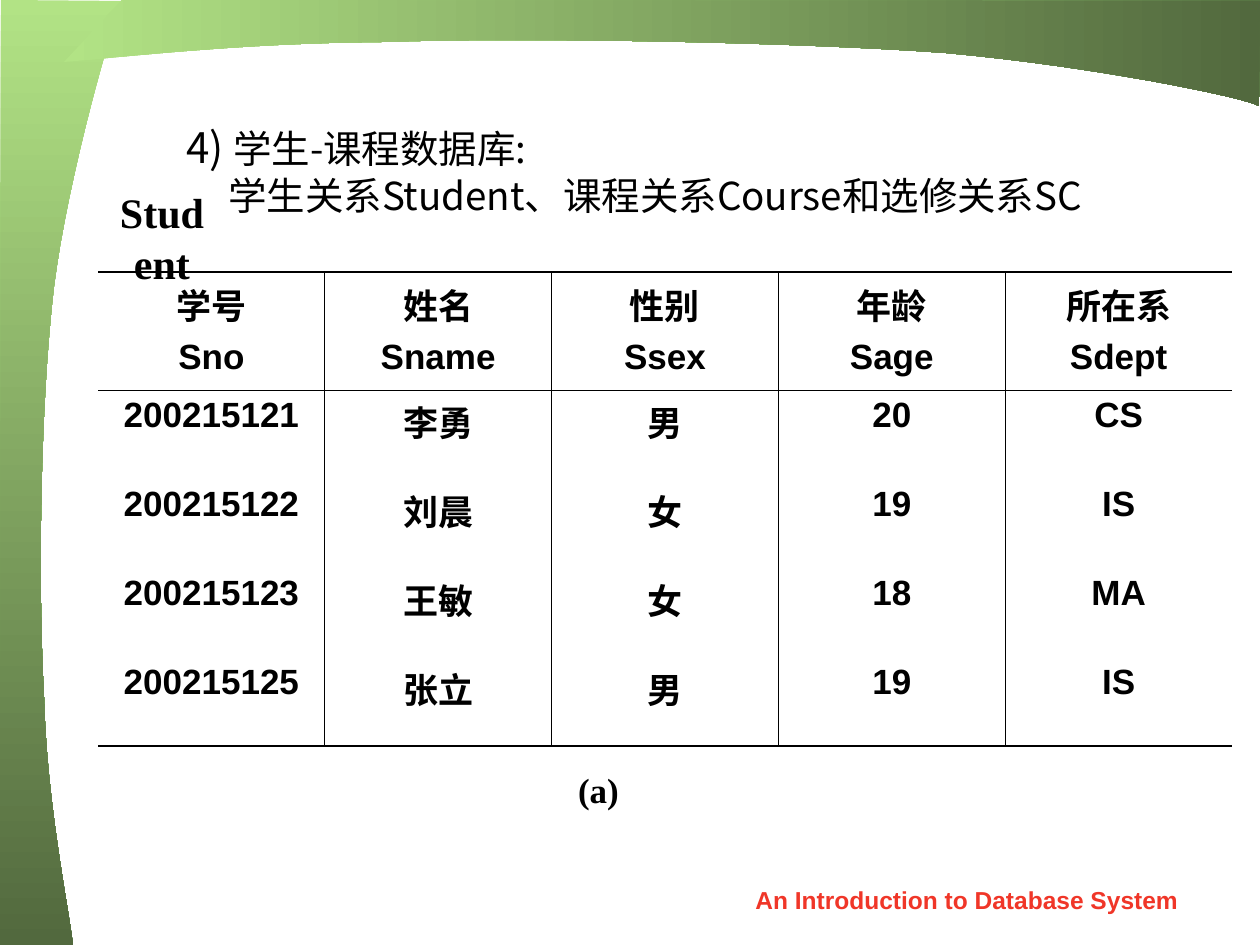
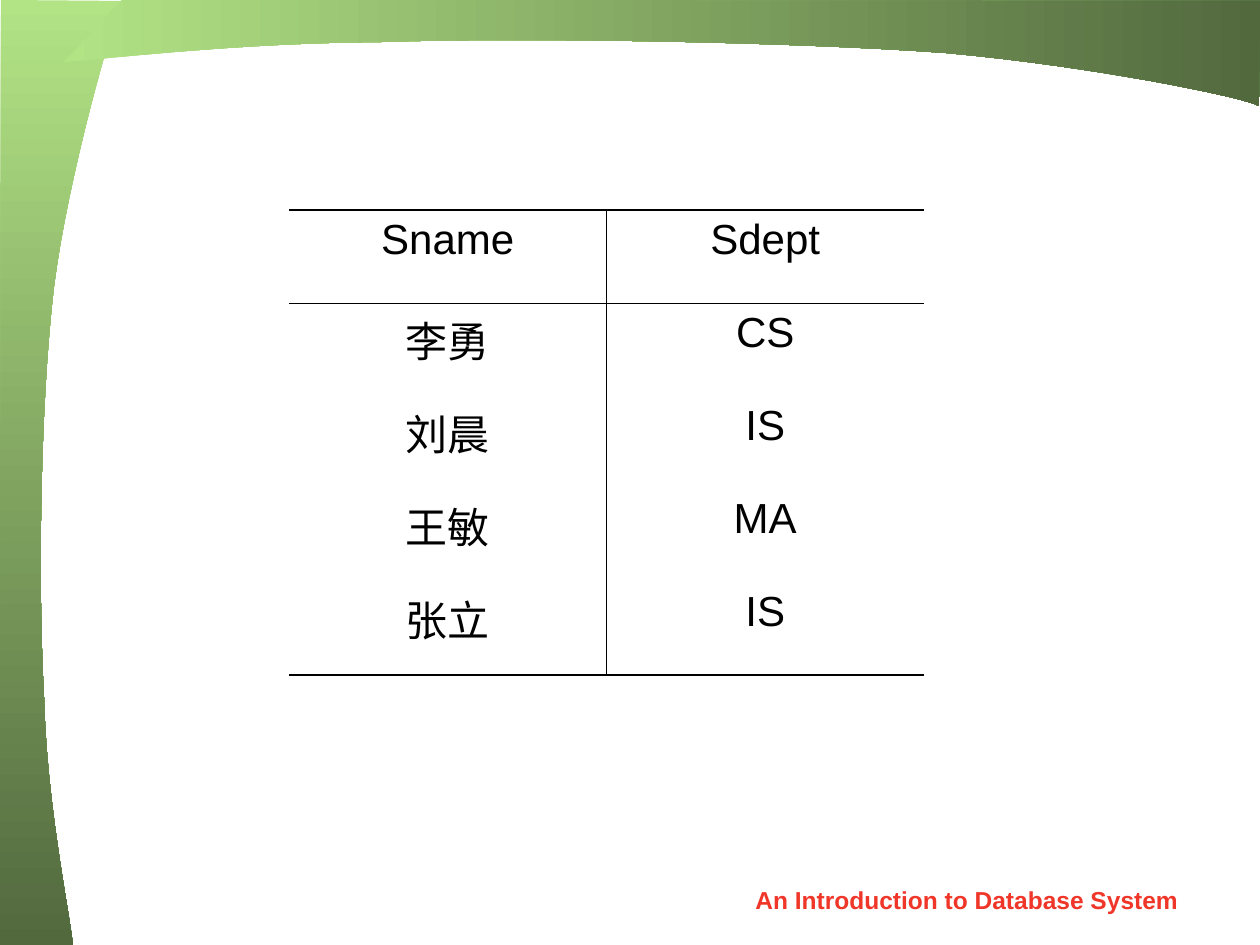
import dataclasses

import lxml.etree
import pptx
import pptx.dml.color
import pptx.enum.text
import pptx.oxml.ns
import pptx.util

EMU_PER_PX = 914400 / 126
ALIGN = pptx.enum.text.PP_ALIGN
ANCHOR = pptx.enum.text.MSO_ANCHOR


@dataclasses.dataclass(frozen=True)
class Theme:
    black: str = "000000"
    footer_red: str = "F03628"
    band_light: str = "B2E385"
    band_dark: str = "52693E"
    sans: str = "Arial"
    serif: str = "Times New Roman"
    chinese: str = "Noto Sans CJK SC"
    footer_size: int = 14
    body_size: int = 20
    intro_size: int = 22
    large_size: int = 24
    thick_rule: float = 1.08
    thin_rule: float = 0.45


THEME = Theme()

LEFT_BAND = dict(
    start=(73, 945),
    curves=[
        ((68, 903), (47, 805), (44, 696)),
        ((38, 585), (40, 406), (54, 287)),
        ((68, 175), (115, 13), (123, 1)),
    ],
    corners=[(1, 0), (0, 945)],
    angle=270,
)
TOP_BAND = dict(
    start=(64, 62),
    curves=[
        ((117, 58), (237, 43), (384, 42)),
        ((523, 37), (796, 42), (946, 53)),
        ((1090, 66), (1244, 97), (1259, 106)),
    ],
    corners=[(1260, 1), (122, 0)],
    angle=0,
)

STUDENT_ROWS = [
    ["学号\nSno", "姓名\nSname", "性别\nSsex", "年龄\nSage", "所在系\nSdept"],
    ["200215121", "李勇", "男", "20", "CS"],
    ["200215122", "刘晨", "女", "19", "IS"],
    ["200215123", "王敏", "女", "18", "MA"],
    ["200215125", "张立", "男", "19", "IS"],
]
PROJECTION_ROWS = [
    ["Sname", "Sdept"],
    ["李勇", "CS"],
    ["刘晨", "IS"],
    ["王敏", "MA"],
    ["张立", "IS"],
]


def px(length):
    return pptx.util.Emu(round(length * EMU_PER_PX))


def rgb(color):
    return pptx.dml.color.RGBColor.from_string(color)


def style_paragraph(para, size, font, color=THEME.black, bold=False, align=ALIGN.CENTER):
    para.alignment = align
    para.font.size = pptx.util.Pt(size)
    para.font.name = font
    para.font.bold = bold
    para.font.color.rgb = rgb(color)
    defaults = para._p.pPr.find(pptx.oxml.ns.qn("a:defRPr"))
    east_asian = lxml.etree.SubElement(defaults, pptx.oxml.ns.qn("a:ea"))
    east_asian.set("typeface", THEME.chinese)


def add_text_box(page, left, top, width, height, wrap=True, anchor=ANCHOR.TOP):
    box = page.shapes.add_textbox(px(left), px(top), px(width), px(height))
    box.text_frame.word_wrap = wrap
    box.text_frame.vertical_anchor = anchor
    return box.text_frame


def add_label(page, text, place, size, font, color=THEME.black, **layout):
    frame = add_text_box(page, *place, **layout)
    frame.text = text
    style_paragraph(frame.paragraphs[0], size, font, color, bold=True)


def curve_points(start, controls, steps=16):
    first, second, end = controls
    for step in range(1, steps + 1):
        t = step / steps
        u = 1 - t
        yield tuple(
            u**3 * a + 3 * u * u * t * b + 3 * u * t * t * c + t**3 * d
            for a, b, c, d in zip(start, first, second, end)
        )


def add_band(page, start, curves, corners, angle):
    points = [start]
    for controls in curves:
        points.extend(curve_points(points[-1], controls))
    points.extend(corners)
    outline = [(px(x), px(y)) for x, y in points]
    builder = page.shapes.build_freeform(*outline[0])
    builder.add_line_segments(outline[1:], close=True)
    band = builder.convert_to_shape()
    band.shadow.inherit = False
    band.line.fill.background()
    band.fill.gradient()
    band.fill.gradient_angle = angle
    for stop, color in zip(band.fill.gradient_stops, (THEME.band_light, THEME.band_dark)):
        stop.color.rgb = rgb(color)


def add_page(deck):
    page = deck.slides.add_slide(deck.slide_layouts[6])
    add_band(page, **LEFT_BAND)
    add_band(page, **TOP_BAND)
    add_label(page, "An Introduction to Database System", (719, 879, 496, 44),
              THEME.footer_size, THEME.sans, THEME.footer_red)
    return page


def set_borders(cell, widths):
    properties = cell._tc.get_or_add_tcPr()
    for side in ("L", "R", "T", "B"):
        line = lxml.etree.SubElement(properties, pptx.oxml.ns.qn(f"a:ln{side}"))
        width = widths.get(side)
        if width is None:
            lxml.etree.SubElement(line, pptx.oxml.ns.qn("a:noFill"))
            continue
        line.set("w", str(int(pptx.util.Pt(width))))
        fill = lxml.etree.SubElement(line, pptx.oxml.ns.qn("a:solidFill"))
        color = lxml.etree.SubElement(fill, pptx.oxml.ns.qn("a:srgbClr"))
        color.set("val", THEME.black)


def cell_borders(row, column, last_row, last_column):
    return {
        "L": THEME.thin_rule if column > 0 else None,
        "R": THEME.thin_rule if column < last_column else None,
        "T": {0: THEME.thick_rule, 1: THEME.thin_rule}.get(row),
        "B": {0: THEME.thin_rule, last_row: THEME.thick_rule}.get(row),
    }


def add_ruled_table(page, rows, left, top, width, header_height, row_height, size, bold):
    heights = [header_height] + [row_height] * (len(rows) - 1)
    frame = page.shapes.add_table(len(rows), len(rows[0]), px(left), px(top),
                                  px(width), px(sum(heights)))
    table = frame.table
    table.first_row = False
    table.horz_banding = False
    for column in table.columns:
        column.width = px(width / len(rows[0]))
    for row, (texts, height) in enumerate(zip(rows, heights)):
        table.rows[row].height = px(height)
        for column, text in enumerate(texts):
            cell = table.cell(row, column)
            set_borders(cell, cell_borders(row, column, len(rows) - 1, len(texts) - 1))
            cell.fill.background()
            cell.text = text
            for index, para in enumerate(cell.text_frame.paragraphs):
                style_paragraph(para, size, THEME.sans, bold=bold)
                if index:
                    para.space_before = pptx.util.Pt(5)


def add_introduction(page):
    frame = add_text_box(page, 174, 115, 1032, 110)
    heading = frame.paragraphs[0]
    number = heading.add_run()
    number.text = "4) "
    number.font.size = pptx.util.Pt(THEME.large_size)
    heading.add_run().text = "学生-课程数据库:"
    relations = frame.add_paragraph()
    relations.text = "学生关系Student、课程关系Course和选修关系SC"
    for para, margin, indent in ((heading, 48, -48), (relations, 42, 0)):
        style_paragraph(para, THEME.intro_size, THEME.chinese, align=ALIGN.LEFT)
        para._p.pPr.set("marL", str(px(margin)))
        para._p.pPr.set("indent", str(px(indent)))


def main():
    deck = pptx.Presentation()
    deck.slide_width = px(1260)
    deck.slide_height = px(945)

    student_page = add_page(deck)
    add_label(student_page, "(a)", (121, 762, 955, 55), THEME.body_size, THEME.serif)
    add_label(student_page, "Student", (99, 195, 126, 84), THEME.large_size, THEME.serif,
              wrap=False, anchor=ANCHOR.MIDDLE)
    add_introduction(student_page)
    add_ruled_table(student_page, STUDENT_ROWS, 98, 272, 1134, 118, 89,
                    THEME.body_size, bold=True)

    projection_page = add_page(deck)
    add_ruled_table(projection_page, PROJECTION_ROWS, 289, 210, 635, 93, 93,
                    THEME.large_size, bold=False)

    deck.save("out.pptx")


if __name__ == "__main__":
    main()
